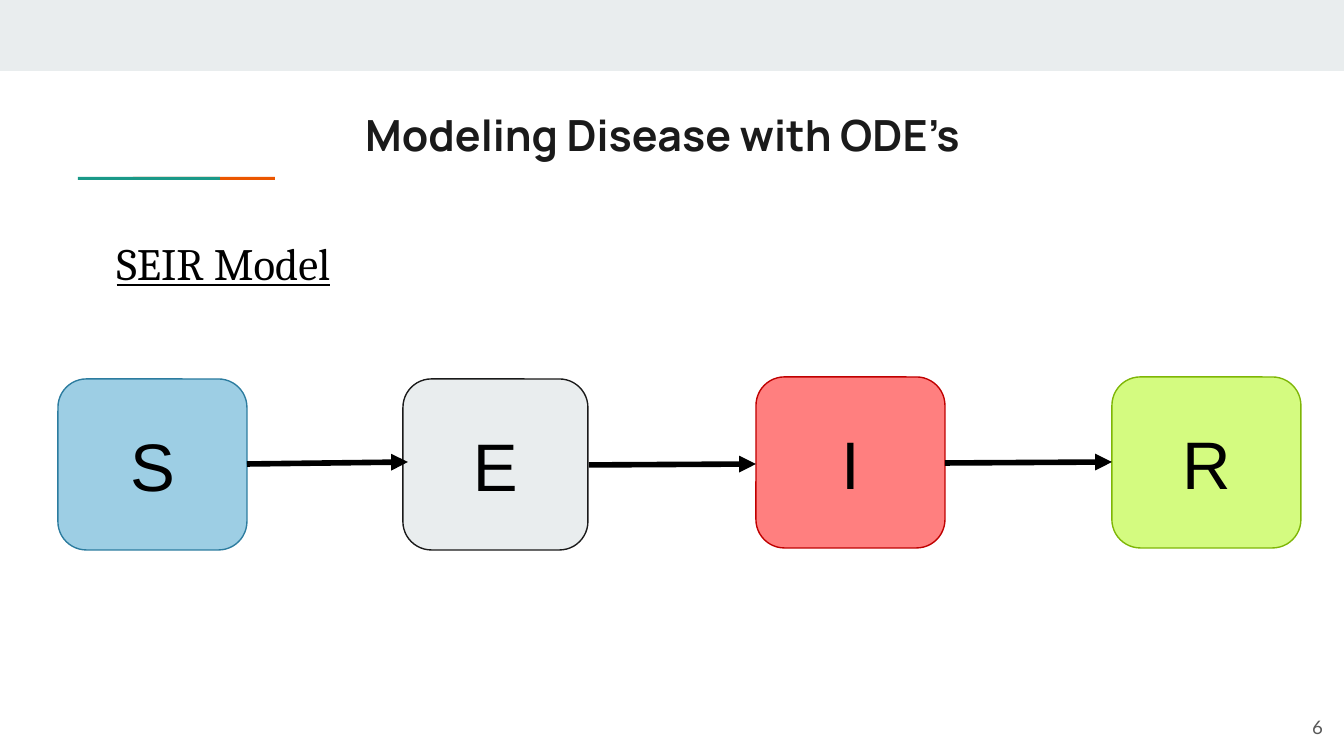
from lxml import etree
from pptx import Presentation
from pptx.dml.color import RGBColor
from pptx.enum import shapes, text
from pptx.oxml.ns import qn
from pptx.util import Pt

PX = 914400 / 134.4  # EMU in one px
COLORS = {
    "band": "E9EDEE", "teal": "1A9988", "orange": "EB5600",
    "title": "1A1A1A", "ink": "000000", "number": "595959",
    "S": "9DCEE4", "S line": "2C7C9F", "E": "E9EDEE", "E line": "1A1A1A",
    "I": "FF7F7F", "I line": "C00000", "R": "D4FB80", "R line": "7EB606",
}


def px(*lengths):
    return [round(n * PX) for n in lengths]


def color(name):
    return RGBColor.from_string(COLORS[name])


def place(sp, box):
    sp.left, sp.top, sp.width, sp.height = px(*box)


def add_block(sl, kind, box, fill, line=None):
    sp = sl.shapes.add_shape(kind, *px(*box))
    sp.shadow.inherit = False
    sp.fill.solid()
    sp.fill.fore_color.rgb = color(fill)
    if line:
        sp.line.color.rgb = color(line)
        sp.line.width = Pt(0.75)
    else:
        sp.line.fill.background()
    return sp


def write(sp, words, font, size, ink, align, anchor=text.MSO_ANCHOR.MIDDLE, inset=13):
    tf = sp.text_frame
    tf.word_wrap = True
    tf.auto_size = text.MSO_AUTO_SIZE.NONE
    tf.vertical_anchor = anchor
    tf.margin_left, tf.margin_right, tf.margin_top, tf.margin_bottom = px(13, 13, inset, inset)
    p = tf.paragraphs[0]
    p.alignment = align
    r = p.add_run()
    r.text = words
    r.font.name, r.font.size = font, Pt(size)
    r.font.color.rgb = color(ink)
    return p, r


def add_header(sl, box):
    x, y, w, h = box
    rect = shapes.MSO_SHAPE.RECTANGLE
    # Top band and two-tone accent rule
    add_block(sl, rect, (x, y, w, 71), "band")
    for name, left in (("orange", 133), ("teal", 78)):
        add_block(sl, rect, (x + left, y + 177, 142, 3), name)
    # Title
    sp = sl.shapes.title
    place(sp, (x + 58, y + 77, 1210, h - 77))
    p, r = write(sp, "Modeling Disease with ODE’s", "Manrope", 23, "title",
                 text.PP_ALIGN.CENTER, inset=7)
    r.font.bold = True


def add_body(sl, box):
    sp = sl.placeholders[1]
    place(sp, box)
    p, r = write(sp, "SEIR Model", "Cambria", 24, "ink",
                 text.PP_ALIGN.LEFT, text.MSO_ANCHOR.TOP)
    # Hanging indent without a bullet
    pPr = p._p.get_or_add_pPr()
    pPr.set("marL", "457200")
    pPr.set("indent", "-228600")
    etree.SubElement(pPr, qn("a:buNone"))
    p.line_spacing = 1.15
    p.space_before = Pt(0)
    r.font.underline = True


def add_arrow(sl, start, end):
    cxn = sl.shapes.add_connector(shapes.MSO_CONNECTOR.STRAIGHT, *px(*start, *end))
    cxn.line.color.rgb = color("ink")
    cxn.line.width = Pt(3)
    etree.SubElement(cxn.line._get_or_add_ln(), qn("a:tailEnd"), type="triangle")
    etree.SubElement(cxn._element.spPr, qn("a:effectLst"))


def add_seir_chain(sl, box):
    x, y, w, h = box
    # Compartments: letter, left, top, width
    compartments = [("S", 0, 2, 189), ("E", 345, 2, 185),
                    ("I", 698, 0, 189), ("R", 1054, 0, 189)]
    for letter, left, top, width in compartments:
        sp = add_block(sl, shapes.MSO_SHAPE.ROUNDED_RECTANGLE,
                       (x + left, y + top, width, h - 2), letter, letter + " line")
        write(sp, letter, "Arial", 36, "ink", text.PP_ALIGN.CENTER)
    # Transitions: start x, start y, end x, end y
    for x1, y1, x2, y2 in [(189, 87, 350, 85), (531, 88, 698, 87), (887, 86, 1054, 85)]:
        add_arrow(sl, (x + x1, y + y1), (x + x2, y + y2))


def add_slide_number(sl, box, number):
    sp = sl.shapes.add_textbox(*px(*box))
    write(sp, str(number), "Lato", 10, "number", text.PP_ALIGN.RIGHT)


def main():
    prs = Presentation()
    prs.slide_width, prs.slide_height = px(1344, 756)
    sl = prs.slides.add_slide(prs.slide_layouts[1])
    add_header(sl, (0, 0, 1344, 191))
    add_body(sl, (70, 215, 1230, 521))
    add_seir_chain(sl, (58, 377, 1243, 173))
    add_slide_number(sl, (1255, 698, 81, 58), 6)
    prs.save("out.pptx")


if __name__ == "__main__":
    main()
